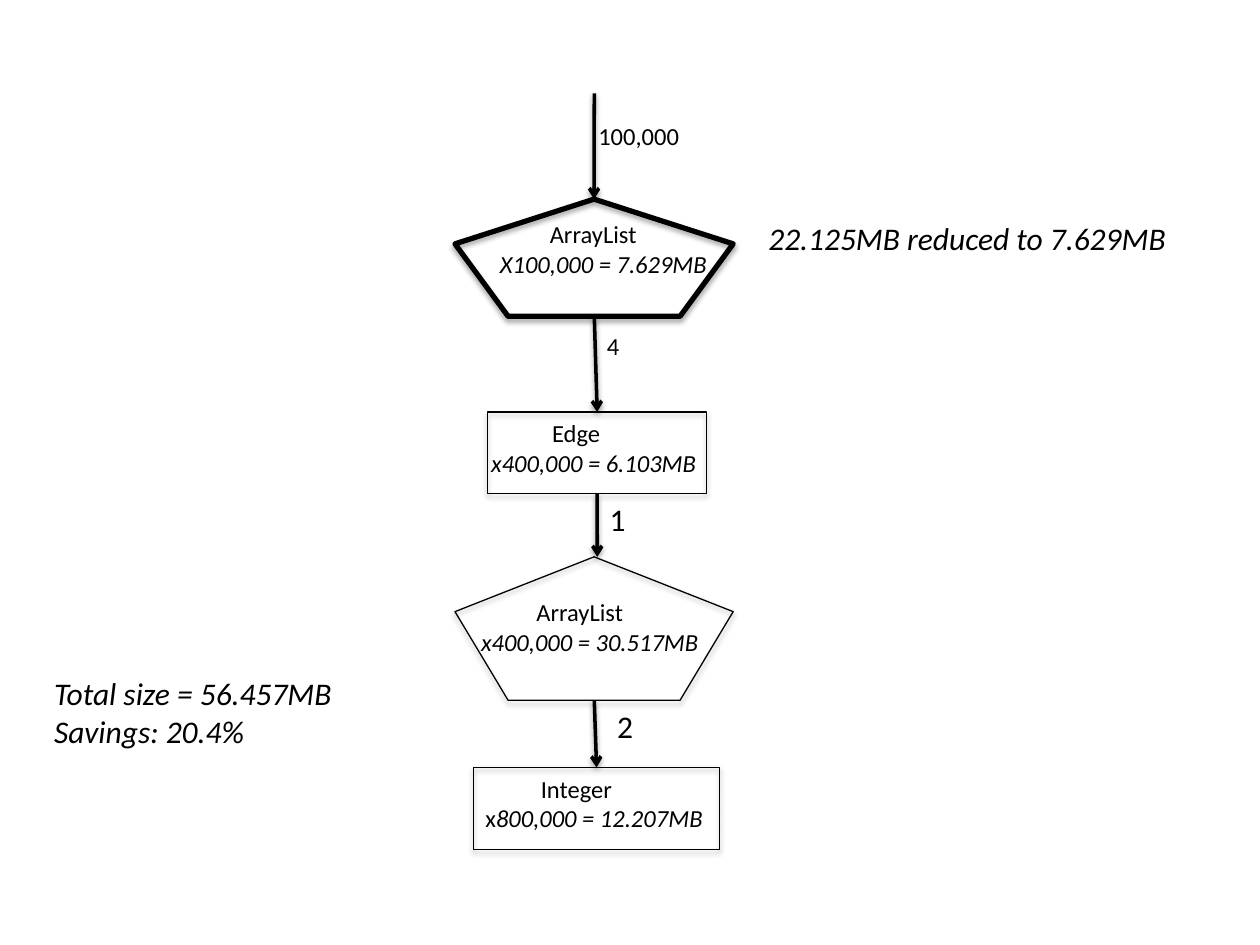
from pptx import Presentation
from pptx.dml.color import RGBColor
from pptx.enum import shapes, text
from pptx.oxml import parse_xml
from pptx.oxml.ns import nsdecls, qn
from pptx.util import Pt

BLACK = "000000"
PENTAGON = shapes.MSO_SHAPE.REGULAR_PENTAGON
RECTANGLE = shapes.MSO_SHAPE.RECTANGLE


def color(value):
    return RGBColor.from_string(value)


def add_shadow(shape, opacity, distance):
    """Soft shadow straight below; call after the line is set."""
    properties = shape._element.spPr
    for effects in properties.findall(qn("a:effectLst")):
        properties.remove(effects)
    properties.append(parse_xml(
        f'<a:effectLst {nsdecls("a")}><a:outerShdw blurRad="{Pt(3.1)}" '
        f'dist="{Pt(distance)}" dir="5400000" rotWithShape="0">'
        f'<a:srgbClr val="{BLACK}"><a:alpha val="{opacity * 1000}"/></a:srgbClr>'
        '</a:outerShdw></a:effectLst>'))


def add_label(slide, box, lines, size=14, indent=0):
    """Each line is a list of (wording, italic); indent moves the first line."""
    frame = slide.shapes.add_textbox(*map(Pt, box)).text_frame
    frame.word_wrap = False
    frame.auto_size = text.MSO_AUTO_SIZE.NONE
    for number, runs in enumerate(lines):
        paragraph = frame.paragraphs[0] if number == 0 else frame.add_paragraph()
        if number == 0 and indent:
            paragraph._p.get_or_add_pPr().set("marL", str(Pt(indent)))
        for wording, italic in runs:
            run = paragraph.add_run()
            run.text = wording
            formats = {"name": "Calibri", "size": Pt(size), "italic": italic}
            for key, value in formats.items():
                setattr(run.font, key, value)
            run.font.color.rgb = color(BLACK)


def add_node(slide, box, kind, line_width, offset, label_width, name, total, indent):
    """Outlined class node with its name and memory total."""
    left, top = box[:2]
    node = slide.shapes.add_shape(kind, *map(Pt, box))
    node.fill.background()
    node.line.color.rgb = color(BLACK)
    node.line.width = Pt(line_width)
    add_shadow(node, 35, 1.8)
    label_box = (left + offset[0], top + offset[1], label_width, 41.2)
    add_label(slide, label_box, [[(name, False)], total], indent=indent)
    return node


def add_arrow(slide, start, end, source=None, target=None):
    arrow = slide.shapes.add_connector(
        shapes.MSO_CONNECTOR.STRAIGHT, *map(Pt, start + end))
    if source is not None:
        arrow.begin_connect(source, 2)
    if target is not None:
        arrow.end_connect(target, 0)
    arrow.line.color.rgb = color(BLACK)
    arrow.line.width = Pt(2)
    arrow.line._get_or_add_ln().append(
        parse_xml(f'<a:tailEnd {nsdecls("a")} type="arrow"/>'))
    add_shadow(arrow, 38, 1.6)


def add_chain(slide):
    """Nodes from top to bottom, the arrows between them and their counts."""
    outer_list = add_node(slide, (260, 113.8, 159, 67), PENTAGON, 3, (18.6, 7.9),
                          137.5, "ArrayList", [("X100,000 = 7.629MB", True)], 28.5)
    edge = add_node(slide, (278.6, 235.4, 125.3, 46.8), RECTANGLE, 0.75, (-5, 0),
                    136.1, "Edge", [("x400,000 = 6.103MB", True)], 34.8)
    add_node(slide, (260, 318.2, 159, 82), PENTAGON, 0.75, (7.8, 19.5),
             143.3, "ArrayList", [("x400,000 = 30.517MB", True)], 31.6)
    integer = add_node(slide, (270.7, 438.5, 140.4, 46.8), RECTANGLE, 0.75, (-3.6, 0),
                       145.4, "Integer",
                       [(" x", False), ("800,000 = 12.207MB", True)], 34.8)

    # Arrows
    axis = 339.6
    add_arrow(slide, (axis, 53.3), (axis, 113.8), target=outer_list)
    add_arrow(slide, (axis, 180.8), (341.3, 235.4), target=edge)
    add_arrow(slide, (341.3, 282.2), (341.3, 318.2), source=edge)
    add_arrow(slide, (axis, 400.2), (341, 438.5), target=integer)

    # Reference counts
    for box, count, size in (
        ((334.8, 65.5, 61.2, 24.5), "100,000", 14),
        ((339.8, 185.8, 21.6, 24.5), "4", 14),
        ((341.3, 282.2, 23.8, 28.8), "1", 18),
        ((345.6, 400.3, 23.8, 28.8), "2", 18),
    ):
        add_label(slide, box, [[(count, False)]], size)


def add_summary(slide, box, lines):
    add_label(slide, box, [[(line, True)] for line in lines], 18)


def main():
    deck = Presentation()
    deck.slide_width, deck.slide_height = Pt(720), Pt(540)
    slide = deck.slides.add_slide(deck.slide_layouts[6])
    add_chain(slide)
    add_summary(slide, (23.8, 381.6, 179.3, 94.3),
                ["Total size = 56.457MB", "Savings: 20.4%"])
    add_summary(slide, (432, 121.7, 244.8, 28.8), ["22.125MB reduced to 7.629MB"])
    deck.save("out.pptx")


if __name__ == "__main__":
    main()
